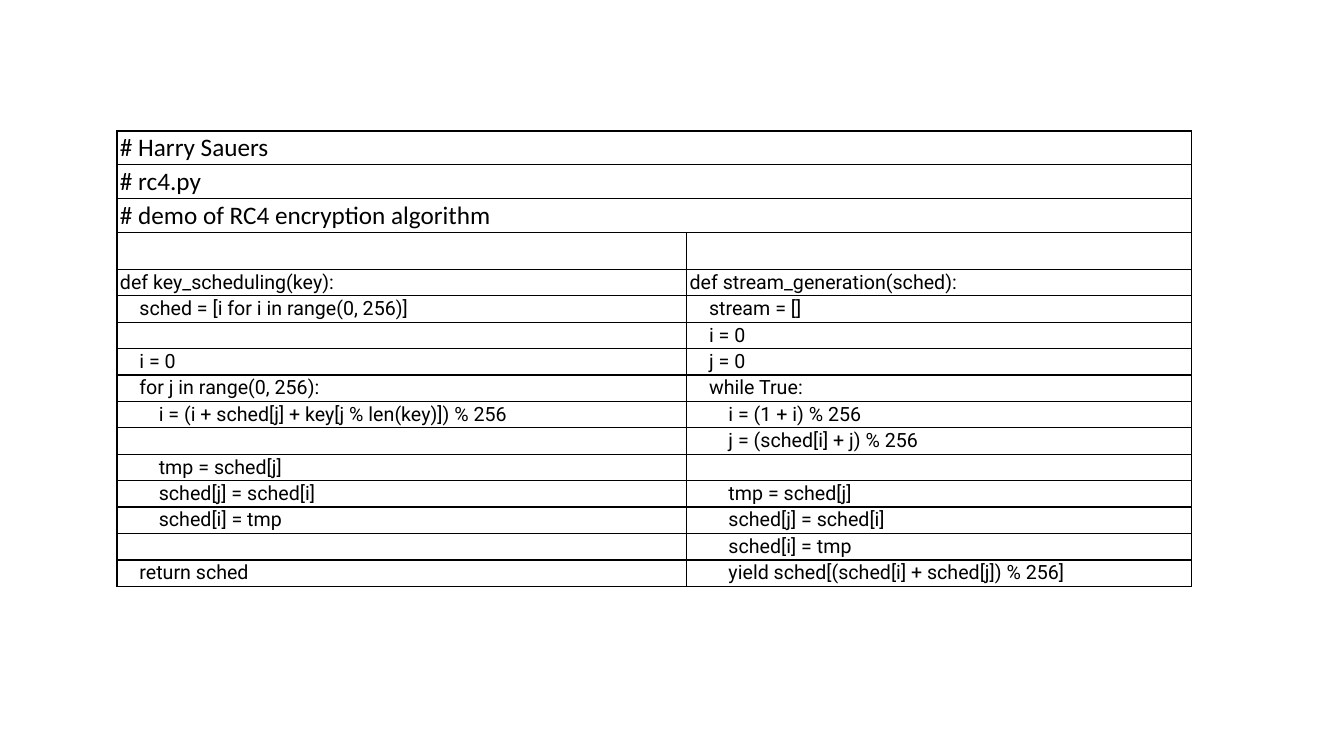
import pptx
import pptx.dml.color
import pptx.enum.text
import pptx.oxml
import pptx.oxml.ns
import pptx.util
from pptx.util import Inches, Pt

BLACK = pptx.dml.color.RGBColor(0, 0, 0)

# Content: heading comments span both columns, code sits side by side
HEADINGS = ["# Harry Sauers", "# rc4.py", "# demo of RC4 encryption algorithm"]
CODE = [
    ("", ""),
    ("def key_scheduling(key):", "def stream_generation(sched):"),
    ("    sched = [i for i in range(0, 256)]", "    stream = []"),
    ("", "    i = 0"),
    ("    i = 0", "    j = 0"),
    ("    for j in range(0, 256):", "    while True:"),
    ("        i = (i + sched[j] + key[j % len(key)]) % 256", "        i = (1 + i) % 256"),
    ("", "        j = (sched[i] + j) % 256"),
    ("        tmp = sched[j]", ""),
    ("        sched[j] = sched[i]", "        tmp = sched[j]"),
    ("        sched[i] = tmp", "        sched[j] = sched[i]"),
    ("", "        sched[i] = tmp"),
    ("    return sched", "        yield sched[(sched[i] + sched[j]) % 256]"),
]
ROWS = [(heading, "") for heading in HEADINGS] + CODE

# Layout
LEFT, TOP = Inches(1.16), Inches(1.3)
COLUMN_WIDTHS = [Inches(5.65), Inches(5.01)]
HEADING_HEIGHT, GAP_HEIGHT, CODE_HEIGHT = Pt(24.2), Pt(26.5), Pt(18.75)
ROW_HEIGHTS = [HEADING_HEIGHT] * len(HEADINGS) + [GAP_HEIGHT] + [CODE_HEIGHT] * (len(CODE) - 1)


def add_borders(cell):
    properties = cell._tc.get_or_add_tcPr()
    for position, side in enumerate(("lnL", "lnR", "lnT", "lnB")):
        border = pptx.oxml.parse_xml(
            f'<a:{side} {pptx.oxml.ns.nsdecls("a")} w="{Pt(1)}">'
            f'<a:solidFill><a:srgbClr val="{BLACK}"/></a:solidFill></a:{side}>'
        )
        properties.insert(position, border)


def write_cell(cell, text, font_name, size):
    cell.margin_left = cell.margin_right = Inches(0.03)
    cell.margin_top = cell.margin_bottom = Pt(1)
    cell.vertical_anchor = pptx.enum.text.MSO_ANCHOR.MIDDLE
    cell.fill.background()
    add_borders(cell)
    para = cell.text_frame.paragraphs[0]
    if text:
        span = para.add_run()
        span.text = text
        span.font.name = font_name
        span.font.size = Pt(size)
        span.font.color.rgb = BLACK
    else:
        # Keeps empty cells from stretching their row
        para._p.append(pptx.oxml.parse_xml(
            f'<a:endParaRPr {pptx.oxml.ns.nsdecls("a")} sz="{size * 100}"/>'))


# Slide
deck = pptx.Presentation()
deck.slide_width, deck.slide_height = Inches(13.33), Inches(7.5)
page = deck.slides.add_slide(deck.slide_layouts[6])

# Code table
table = page.shapes.add_table(
    len(ROWS), len(COLUMN_WIDTHS), LEFT, TOP, sum(COLUMN_WIDTHS), sum(ROW_HEIGHTS)
).table
table.first_row = table.horz_banding = False
for column, width in zip(table.columns, COLUMN_WIDTHS):
    column.width = width

for row_index, (texts, height) in enumerate(zip(ROWS, ROW_HEIGHTS)):
    table.rows[row_index].height = height
    is_heading = row_index < len(HEADINGS)
    font_name, size = ("Calibri", 18) if is_heading else ("Roboto", 14)
    for column_index, text in enumerate(texts):
        write_cell(table.cell(row_index, column_index), text, font_name, size)
    if is_heading:
        table.cell(row_index, 0).merge(table.cell(row_index, 1))

deck.save("out.pptx")
